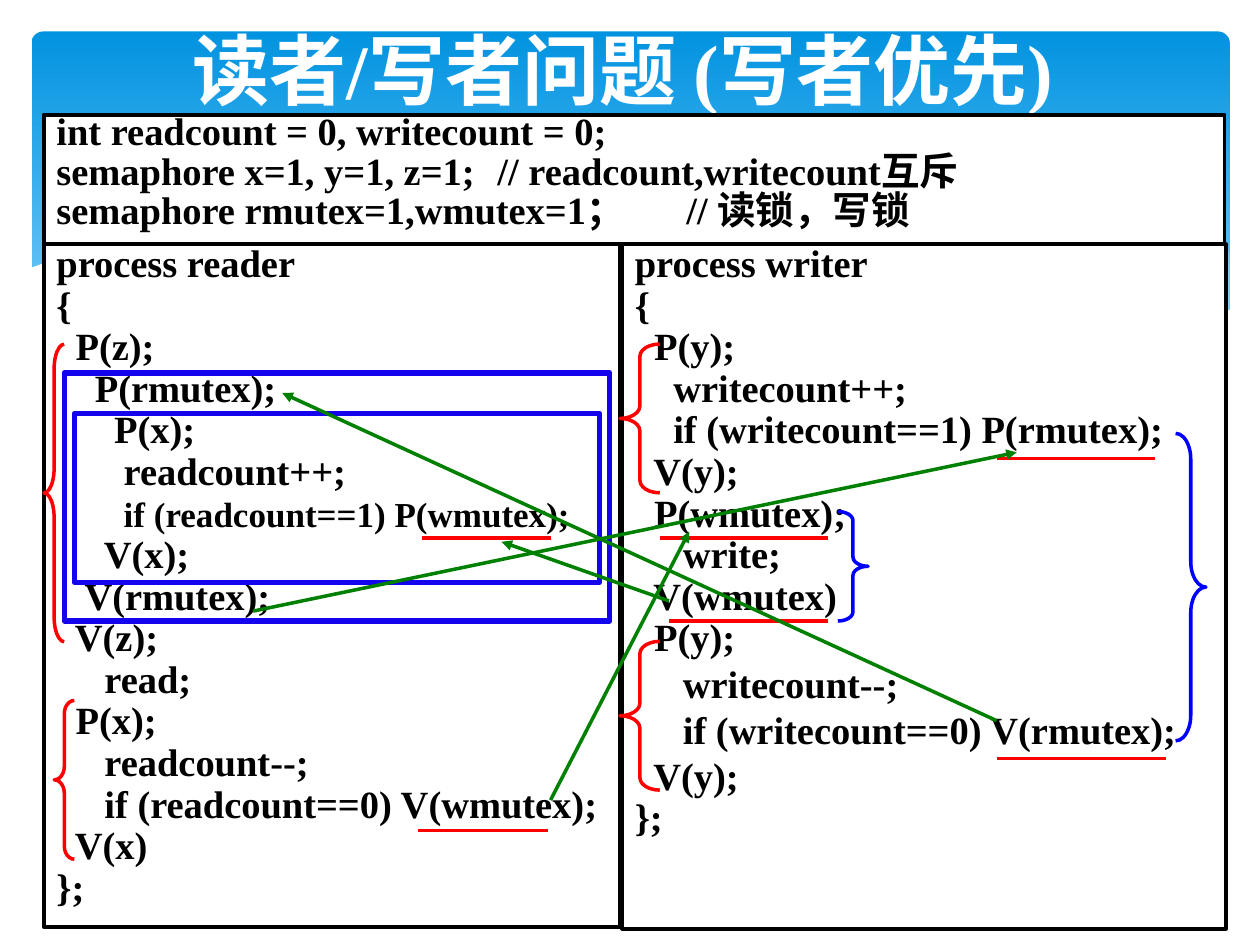
from lxml.etree import SubElement
from pptx import Presentation
from pptx.dml.color import RGBColor
from pptx.enum.shapes import MSO_CONNECTOR as Connector, MSO_SHAPE as Shape
from pptx.enum.text import MSO_ANCHOR as Anchor, PP_ALIGN as Align
from pptx.oxml.ns import qn
from pptx.util import Pt

RED, BLUE, FRAME_BLUE, GREEN = "FF0000", "0000FF", "1403ED", "008000"
BLACK, WHITE = "000000", "FFFFFF"
CODE_FONT = {"name": "Times New Roman", "size": Pt(22), "bold": True}
TITLE_FONT = {**CODE_FONT, "size": Pt(44)}
CODE_PARAGRAPH = {"alignment": Align.JUSTIFY, "line_spacing": 0.9}
LOOSE_PARAGRAPH = {"alignment": Align.LEFT, "line_spacing": 1.0}

DECLARATIONS = """int readcount = 0, writecount = 0;
semaphore x=1, y=1, z=1;\t// readcount,writecount互斥
semaphore rmutex=1,wmutex=1；\t// 读锁，写锁"""

READER = """process reader
{
  P(z);
    P(rmutex);
      P(x);
       readcount++;
       if (readcount==1) P(wmutex);
     V(x);
   V(rmutex);
  V(z);
     read;
  P(x);
     readcount--;
     if (readcount==0) V(wmutex);
  V(x)
};"""

WRITER = """process writer
{
  P(y);
    writecount++;
    if (writecount==1) P(rmutex);
  V(y);
  P(wmutex);
     write;
  V(wmutex)
  P(y);
     writecount--;
     if (writecount==0) V(rmutex);
  V(y);
};"""


def rgb(value):
    return RGBColor.from_string(value)


def apply(target, values):
    for key, value in values.items():
        setattr(target, key, value)


def place(box, part):
    return box[0] + part[0], box[1] + part[1], part[2], part[3]


def outline(shapes, kind, box, color, width):
    shape = shapes.add_shape(kind, *map(Pt, box))
    shape.shadow.inherit = False
    shape.fill.background()
    shape.line.color.rgb = rgb(color)
    shape.line.width = Pt(width)
    return shape


def stroke(shapes, start, end, color, arrow=False):
    line = shapes.add_connector(Connector.STRAIGHT, *map(Pt, start + end))
    line.line.color.rgb = rgb(color)
    line.line.width = Pt(2)
    properties = line.line._get_or_add_ln()
    if arrow:
        SubElement(properties, qn("a:tailEnd"), type="triangle")
    SubElement(properties.getparent(), qn("a:effectLst"))


def brace(shapes, kind, box, color):
    shape = outline(shapes, kind, box, color, 2)
    shape.adjustments[0] = box[3] / 12 / box[2]


def add_run(paragraph, text, color, font):
    run = paragraph.add_run()
    run.text = text
    apply(run.font, font)
    run.font.color.rgb = rgb(color)


def wave(shapes, box, points, color, opacity=100):
    left, top, width, height = box
    corners = [(Pt(left + x * width), Pt(top + y * height)) for x, y in points]
    builder = shapes.build_freeform(*corners[0], scale=1.0)
    builder.add_line_segments(corners[1:], close=True)
    shape = builder.convert_to_shape()
    shape.shadow.inherit = False
    shape.fill.solid()
    shape.fill.fore_color.rgb = rgb(color)
    shape.line.fill.background()
    tint = shape._element.spPr.find(qn("a:solidFill"))[0]
    SubElement(tint, qn("a:alpha"), val=str(opacity * 1000))


def banner(shapes, box):
    panel = outline(shapes, Shape.ROUNDED_RECTANGLE, box, WHITE, 0)
    panel.adjustments[0] = 0.034
    panel.line.fill.background()
    panel.fill.gradient()
    panel.fill.gradient_angle = 270
    for stop, color in zip(panel.fill.gradient_stops, ("0293E0", "83D3FE")):
        stop.color.rgb = rgb(color)
    left, top, width, height = box
    wave(shapes, (left + 458, top + 126, width - 458, 56),
         [(1, 0), (0.68, 0.25), (0.35, 0.56), (0, 0.83), (0.26, 0.95),
          (0.48, 1), (0.72, 0.94), (0.9, 0.75), (1, 0.6)], "C6E7FC", 29)
    wave(shapes, (left - 1.5, top + 114.5, width + 3, 105),
         [(1, 0.42), (0.94, 0.55), (0.87, 0.62), (0.77, 0.63), (0.65, 0.54),
          (0.5, 0.33), (0.36, 0.13), (0.24, 0.01), (0.14, 0), (0.07, 0.05),
          (0.03, 0.13), (0, 0.2), (0, 1), (1, 1)], WHITE)


def title(shapes, box):
    frame = shapes.add_textbox(*map(Pt, box)).text_frame
    apply(frame, {"word_wrap": True, "vertical_anchor": Anchor.MIDDLE})
    heading = frame.paragraphs[0]
    apply(heading, {"alignment": Align.CENTER, "line_spacing": 0.9})
    add_run(heading, "读者/写者问题 (写者优先)", WHITE, TITLE_FONT)


def code_panel(shapes, box, code, spacing=0.9, loose=(), small=()):
    panel = outline(shapes, Shape.RECTANGLE, box, BLACK, 2.25)
    panel.fill.solid()
    panel.fill.fore_color.rgb = rgb(WHITE)
    frame = panel.text_frame
    apply(frame, {"word_wrap": True, "vertical_anchor": Anchor.TOP, "margin_top": 0})
    for number, text in enumerate(code.split("\n")):
        paragraph = frame.add_paragraph() if number else frame.paragraphs[0]
        apply(paragraph, {**CODE_PARAGRAPH, "line_spacing": spacing})
        if number in loose:
            apply(paragraph, LOOSE_PARAGRAPH)
        if number in small:
            body = text.lstrip()
            add_run(paragraph, text[:-len(body)], BLACK, CODE_FONT)
            add_run(paragraph, body, BLACK, {**CODE_FONT, "size": Pt(20)})
        else:
            add_run(paragraph, text, BLACK, CODE_FONT)


def underline_calls(shapes, box, spans):
    for start, end, y in spans:
        stroke(shapes, (box[0] + start, box[1] + y), (box[0] + end, box[1] + y), RED)


def reader(shapes, box):
    code_panel(shapes, box, READER, small=(6,))
    for frame in ((11.5, 73.4, 311.8, 141.8), (17.3, 96.5, 300.2, 96.5)):
        outline(shapes, Shape.RECTANGLE, place(box, frame), FRAME_BLUE, 3)
    for section in ((0, 57, 11.5, 170), (5.8, 260.6, 11.5, 90.7)):
        brace(shapes, Shape.LEFT_BRACE, place(box, section), RED)
    underline_calls(shapes, box, [(216, 289.4, 167.8), (213.8, 288, 334.8)])


def writer(shapes, box):
    code_panel(shapes, box, WRITER, loose=(10, 11, 12))
    for top in (56.9, 226.8):
        brace(shapes, Shape.LEFT_BRACE, place(box, (-1.4, top, 22.7, 85)), RED)
    for section in ((123.1, 152.6, 17.3, 62.6), (316.1, 108, 17.3, 175.7)):
        brace(shapes, Shape.RIGHT_BRACE, place(box, section), BLUE)
    underline_calls(shapes, box, [(213.8, 304.6, 122.4), (21.6, 117.4, 167.8),
                                  (26.6, 117.4, 215.3), (213.8, 310.3, 293.8)])


def signal_arrows(shapes, box):
    for start, end in (((569.5, 411.8), (161.3, 224.6)),
                       ((144.7, 349.2), (581, 258.5)),
                       ((314.6, 457.2), (393.8, 303.8)),
                       ((382.3, 343.4), (286.6, 309.6))):
        stroke(shapes, (box[0] + start[0], box[1] + start[1]),
               (box[0] + end[0], box[1] + end[1]), GREEN, arrow=True)


def main():
    deck = Presentation()
    apply(deck, {"slide_width": Pt(720), "slide_height": Pt(540)})
    shapes = deck.slides.add_slide(deck.slide_layouts[6]).shapes
    banner(shapes, (18, 18, 684.7, 194.4))
    title(shapes, (14.4, 14.4, 683.3, 56.9))
    code_panel(shapes, (25.2, 65.5, 674.6, 74.2), DECLARATIONS, spacing=0.85)
    reader(shapes, (25.2, 139.7, 329, 390.2))
    writer(shapes, (355.7, 139.7, 344.9, 391))
    signal_arrows(shapes, (0, 0, 720, 540))
    deck.save("out.pptx")


if __name__ == "__main__":
    main()
